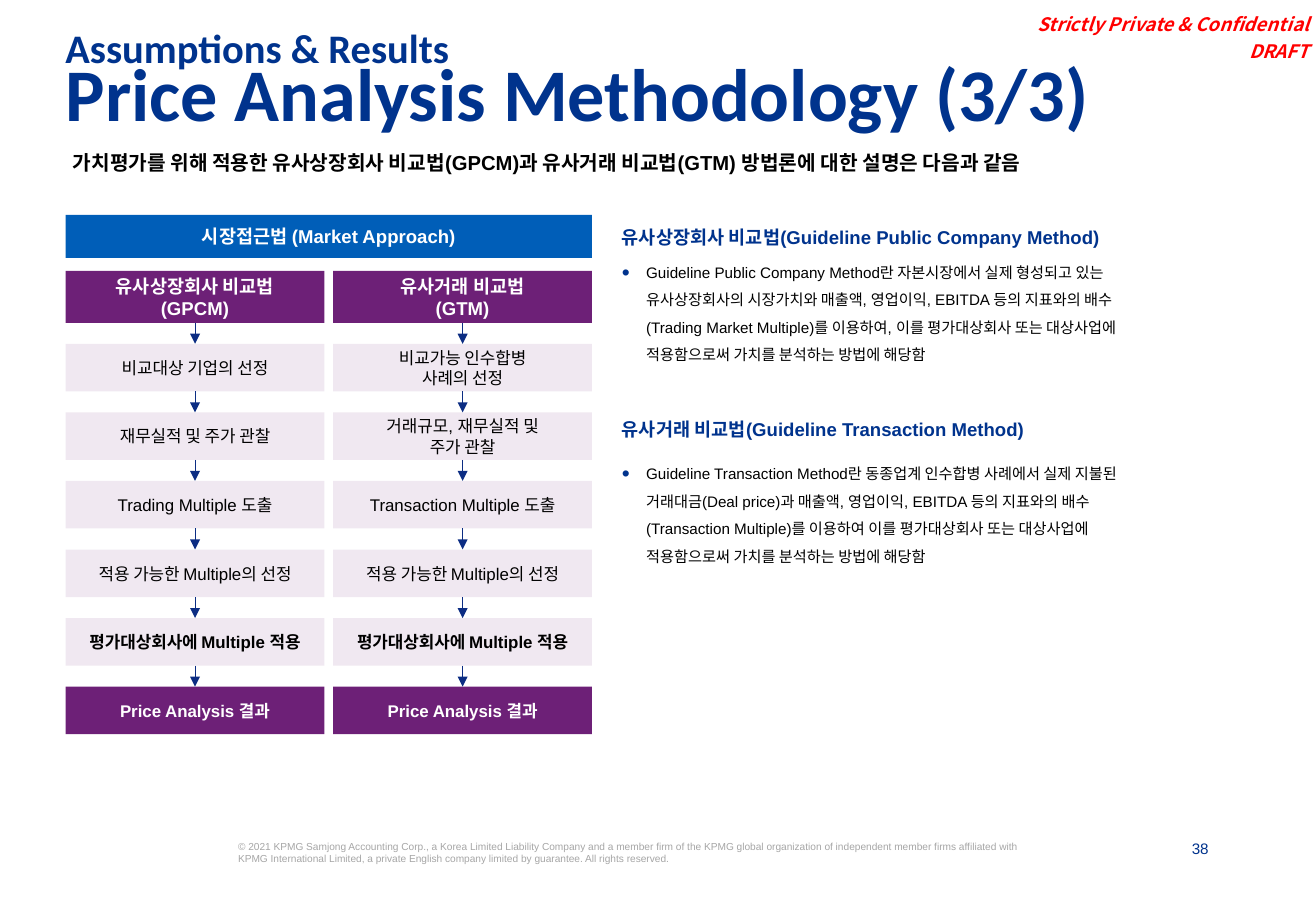
from lxml import etree
from pptx import Presentation
from pptx import util as u
from pptx.dml.color import RGBColor
from pptx.enum import shapes, text
from pptx.oxml.ns import qn

Pt = u.Pt
ALIGN = text.PP_ALIGN
ANCHOR = text.MSO_ANCHOR

COLORS = {"navy": "00338D", "blue": "005EB8", "purple": "6D2077", "arrow": "0C2D83",
          "red": "FF0000", "grey": "A6A6A6", "black": "000000", "white": "FFFFFF"}

TITLE = "Price Analysis Methodology (3/3)"
SECTION = "Assumptions & Results"
LEAD = "가치평가를 위해 적용한 유사상장회사 비교법(GPCM)과 유사거래 비교법(GTM) 방법론에 대한 설명은 다음과 같음"
CONFIDENTIAL = "Strictly Private & Confidential\nDRAFT"
COPYRIGHT = ("© 2021 KPMG Samjong Accounting Corp., a Korea Limited Liability Company and a member firm "
             "of the KPMG global organization of independent member firms affiliated with KPMG "
             "International Limited, a private English company limited by guarantee. All rights reserved.")
PAGE = "38"

APPROACH = "시장접근법 (Market Approach)"
METHODS = [
    ("유사상장회사 비교법\v(GPCM)",
     ["비교대상 기업의 선정", "재무실적 및 주가 관찰", "Trading Multiple 도출",
      "적용 가능한 Multiple의 선정", "평가대상회사에 Multiple 적용", "Price Analysis 결과"]),
    ("유사거래 비교법\v(GTM)",
     ["비교가능 인수합병\v사례의 선정", "거래규모, 재무실적 및\v주가 관찰", "Transaction Multiple 도출",
      "적용 가능한 Multiple의 선정", "평가대상회사에 Multiple 적용", "Price Analysis 결과"]),
]
EXPLANATIONS = [
    (127.4, "유사상장회사 비교법(Guideline Public Company Method)",
     150.5, "Guideline Public Company Method란 자본시장에서 실제 형성되고 있는 유사상장회사의 시장가치와 "
     "매출액, 영업이익, EBITDA 등의 지표와의 배수(Trading Market Multiple)를 이용하여, 이를 "
     "평가대상회사 또는 대상사업에 적용함으로써 가치를 분석하는 방법에 해당함"),
    (241.2, "유사거래 비교법(Guideline Transaction Method)",
     270, "Guideline Transaction Method란 동종업계 인수합병 사례에서 실제 지불된 거래대금(Deal price)과 "
     "매출액, 영업이익, EBITDA 등의 지표와의 배수(Transaction Multiple)를 이용하여 이를 "
     "평가대상회사 또는 대상사업에 적용함으로써 가치를 분석하는 방법에 해당함"),
]

FLOW_LEFT, FLOW_WIDTH = 38.9, 312
METHOD_WIDTH, METHOD_PITCH = 153.4, 158.6
HEAD_TOP, HEAD_HEIGHT = 160.6, 30.9
STEP_TOP, STEP_HEIGHT, STEP_PITCH = 203.8, 28.2, 40.64
EXPLAIN_LEFT = 368.6
NO_INSETS = (0, 0, 0, 0)
INSETS = (7.2, 3.6, 7.2, 3.6)

deck = Presentation()
deck.slide_width, deck.slide_height = Pt(780), Pt(540)
slide = deck.slides.add_slide(deck.slide_layouts[4])


def rgb(color):
    return RGBColor.from_string(COLORS[color])


def write(part, words, size, color, bold=False, italic=False, font="Arial", align=ALIGN.LEFT,
          anchor=ANCHOR.TOP, insets=INSETS, spacing=1.0, gap=0, bullet=False):
    frame = part.text_frame
    frame.text = words
    frame.word_wrap = True
    frame.auto_size = text.MSO_AUTO_SIZE.NONE
    frame.vertical_anchor = anchor
    frame.margin_left, frame.margin_top, frame.margin_right, frame.margin_bottom = map(Pt, insets)
    for order, paragraph in enumerate(frame.paragraphs):
        if bullet:
            add_bullet(paragraph)
        paragraph.alignment = align
        paragraph.line_spacing = spacing
        paragraph.space_before = Pt(gap if order else 0)
        for run in paragraph.runs:
            run.font.name, run.font.size = font, Pt(size)
            run.font.bold, run.font.italic = bold, italic
            run.font.color.rgb = rgb(color)


def add_bullet(paragraph):
    props = paragraph._p.get_or_add_pPr()
    props.set("marL", str(Pt(14.4)))
    props.set("indent", str(-Pt(14.4)))
    tint = etree.SubElement(props, qn("a:buClr"))
    etree.SubElement(tint, qn("a:srgbClr"), val=COLORS["navy"])
    etree.SubElement(props, qn("a:buSzPct"), val="150000")
    etree.SubElement(props, qn("a:buChar"), char="•")


def fill_placeholder(holder, box, words, size, color, **style):
    holder.left, holder.top, holder.width, holder.height = map(Pt, box)
    write(holder, words, size, color, **style)


def add_label(box, words, size, color, **style):
    write(slide.shapes.add_textbox(*map(Pt, box)), words, size, color, **style)


def add_block(box, words, size, fill, color, bold=True, opacity=None):
    block = slide.shapes.add_shape(shapes.MSO_SHAPE.RECTANGLE, *map(Pt, box))
    block.shadow.inherit = False
    block.fill.solid()
    block.fill.fore_color.rgb = rgb(fill)
    block.line.fill.background()
    if opacity:
        tint = block._element.spPr.find(qn("a:solidFill"))[0]
        etree.SubElement(tint, qn("a:alpha"), val=str(opacity * 1000))
    write(block, words, size, color, bold=bold, align=ALIGN.CENTER, anchor=ANCHOR.MIDDLE)
    return block


def add_arrow(upper, lower):
    arrow = slide.shapes.add_connector(shapes.MSO_CONNECTOR.STRAIGHT, 0, 0, 0, 0)
    arrow.begin_connect(upper, 2)
    arrow.end_connect(lower, 0)
    arrow.line.color.rgb = rgb("arrow")
    arrow.line.width = Pt(0.5)
    etree.SubElement(arrow.line._get_or_add_ln(), qn("a:tailEnd"), type="triangle")
    etree.SubElement(arrow._element.spPr, qn("a:effectLst"))


holders = {holder.placeholder_format.idx: holder for holder in slide.placeholders}
fill_placeholder(holders[0], (31.7, 38.9, 676.8, 46.1), TITLE, 44, "navy",
                 bold=True, font="Calibri", spacing=0.7)
for order, (heading_top, heading, body_top, body) in enumerate(EXPLANATIONS):
    fill_placeholder(holders[1 + 2 * order], (EXPLAIN_LEFT, heading_top, 395.3, 17.3), heading, 11,
                     "navy", bold=True, insets=NO_INSETS, spacing=1.5)
    fill_placeholder(holders[2 + 2 * order], (EXPLAIN_LEFT, body_top, 311.8, 63.4), body, 9,
                     "black", insets=NO_INSETS, spacing=1.5, bullet=True)

add_label((31.7, 18, 676.8, 21.6), SECTION, 24, "navy", bold=True, font="Calibri", spacing=0.7)
add_label((43.2, 87.8, 691.9, 38.9), LEAD, 12, "black", bold=True, align=ALIGN.JUSTIFY,
          insets=NO_INSETS, spacing=1.1)
add_label((599, 0, 180, 39.6), CONFIDENTIAL, 11, "red", bold=True, italic=True,
          font="Noto Sans CJK KR", align=ALIGN.RIGHT, anchor=ANCHOR.BOTTOM,
          insets=(0, 2.9, 2.9, 2.9), gap=2.5)
add_label((141.1, 498.2, 470.2, 36), COPYRIGHT, 6, "grey", insets=NO_INSETS)
add_label((685.4, 497.5, 31, 11.5), PAGE, 9, "navy", align=ALIGN.RIGHT, insets=NO_INSETS)

add_block((FLOW_LEFT, 127.4, FLOW_WIDTH, 25.5), APPROACH, 11, "blue", "white")
for column, (method, steps) in enumerate(METHODS):
    left = FLOW_LEFT + column * METHOD_PITCH
    previous = add_block((left, HEAD_TOP, METHOD_WIDTH, HEAD_HEIGHT), method, 11, "purple", "white")
    for row, step in enumerate(steps):
        box = (left, STEP_TOP + row * STEP_PITCH, METHOD_WIDTH, STEP_HEIGHT)
        if row == len(steps) - 1:
            block = add_block(box, step, 10, "purple", "white")
        else:
            block = add_block(box, step, 10, "purple", "black", bold=row == len(steps) - 2, opacity=10)
        add_arrow(previous, block)
        previous = block

deck.save("out.pptx")
